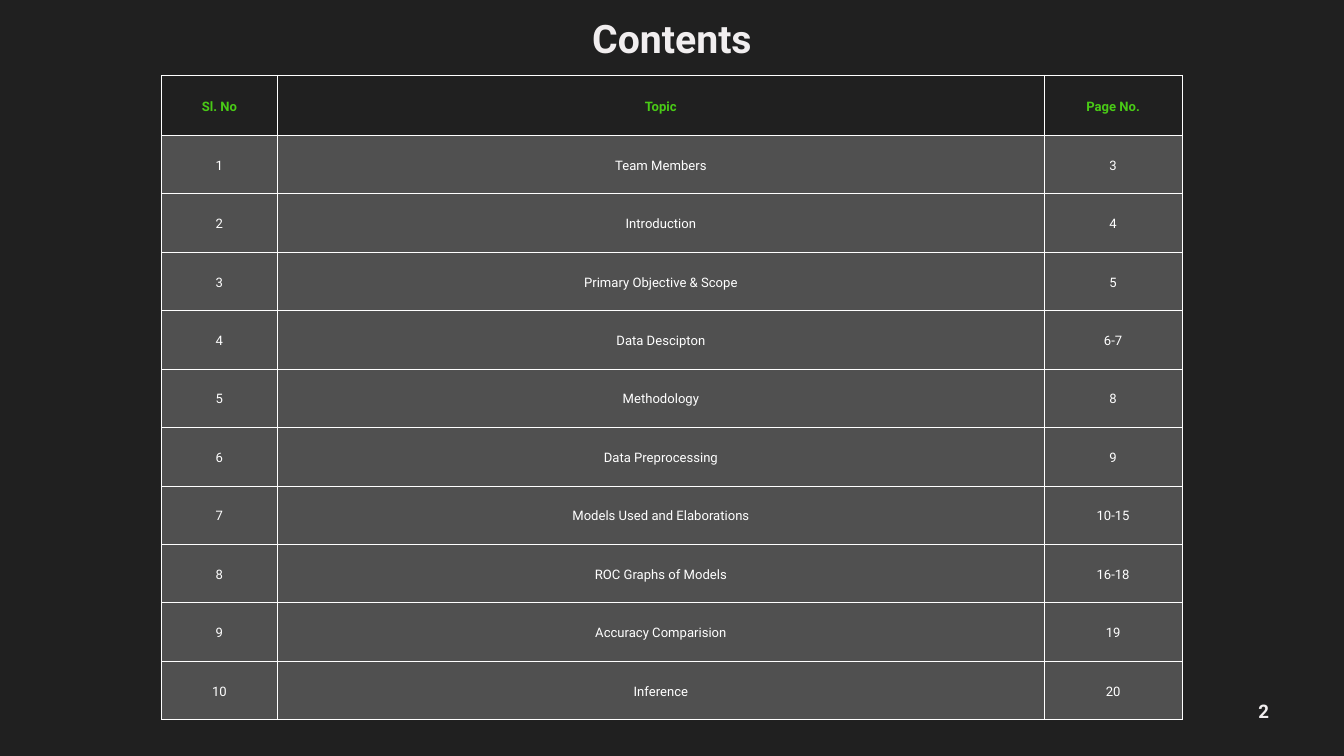
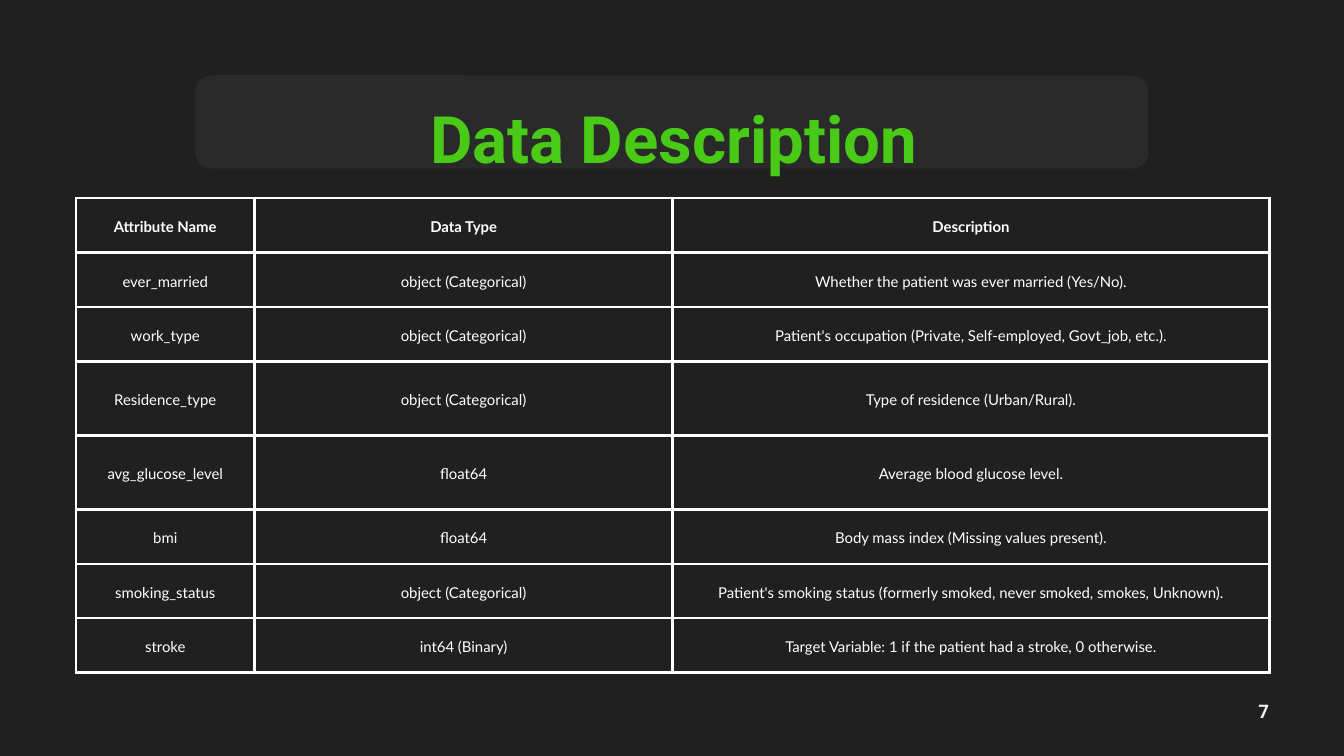
from lxml.etree import SubElement
from pptx import Presentation
from pptx.dml.color import RGBColor
from pptx.enum.shapes import MSO_SHAPE
from pptx.enum.text import MSO_ANCHOR, PP_ALIGN
from pptx.oxml import parse_xml
from pptx.oxml.ns import nsdecls, qn
from pptx.util import Inches, Pt

DARK = RGBColor(0x20, 0x20, 0x20)
PANEL = RGBColor(0x2C, 0x2C, 0x2C)
GREY = RGBColor(0x50, 0x50, 0x50)
GREEN = RGBColor(0x49, 0xCA, 0x16)
PALE = RGBColor(0xF1, 0xEE, 0xEF)
WHITE = RGBColor(0xFF, 0xFF, 0xFF)

LEADING = 1.4
TITLE_ONLY = 5

TOPICS = [
    ("Sl. No", "Topic", "Page No."),
    ("1", "Team Members", "3"),
    ("2", "Introduction", "4"),
    ("3", "Primary Objective & Scope", "5"),
    ("4", "Data Descipton", "6-7"),
    ("5", "Methodology", "8"),
    ("6", "Data Preprocessing", "9"),
    ("7", "Models Used and Elaborations", "10-15"),
    ("8", "ROC Graphs of Models", "16-18"),
    ("9", "Accuracy Comparision", "19"),
    ("10", "Inference", "20"),
]

FIELDS = [
    ("Attribute Name", "Data Type", "Description"),
    ("ever_married", "object (Categorical)",
     "Whether the patient was ever married (Yes/No)."),
    ("work_type", "object (Categorical)",
     "Patient's occupation (Private, Self-employed, Govt_job, etc.)."),
    ("Residence_type", "object (Categorical)",
     "Type of residence (Urban/Rural)."),
    ("avg_glucose_level", "float64", "Average blood glucose level."),
    ("bmi", "float64", "Body mass index (Missing values present)."),
    ("smoking_status", "object (Categorical)",
     "Patient's smoking status (formerly smoked, never smoked, smokes, Unknown)."),
    ("stroke", "int64 (Binary)",
     "Target Variable: 1 if the patient had a stroke, 0 otherwise."),
]


def write(frame, text, size, color, bold=True, font="Roboto", leading=LEADING):
    """Fill a text frame with one centred line."""
    frame.text = text
    line = frame.paragraphs[0]
    line.alignment = PP_ALIGN.CENTER
    line.line_spacing = Pt(round(size * leading, 1))
    line.font.name = font
    line.font.size = Pt(size)
    line.font.bold = bold
    line.font.color.rgb = color


def clear_insets(frame):
    frame.margin_left = frame.margin_right = 0
    frame.margin_top = frame.margin_bottom = 0
    frame.vertical_anchor = MSO_ANCHOR.TOP


def add_slide(deck):
    slide = deck.slides.add_slide(deck.slide_layouts[TITLE_ONLY])
    slide.background.fill.solid()
    slide.background.fill.fore_color.rgb = DARK
    return slide


def set_title(slide, box, text, size, color, leading=LEADING):
    """Place the title in front of what is already on the slide."""
    title = slide.shapes.title
    title.left, title.top, title.width, title.height = map(Inches, box)
    frame = title.text_frame
    clear_insets(frame)
    frame.word_wrap = True
    write(frame, text, size, color, leading=leading)
    title.element.getparent().append(title.element)


def add_number(slide, number):
    box = slide.shapes.add_textbox(
        Inches(18.72), Inches(10.36), Inches(0.17), Inches(0.23))
    clear_insets(box.text_frame)
    box.text_frame.word_wrap = False
    write(box.text_frame, str(number), 20, PALE)


def add_panel(slide, box):
    panel = slide.shapes.add_shape(
        MSO_SHAPE.ROUNDED_RECTANGLE, *map(Inches, box))
    panel.adjustments[0] = 0.18
    panel.shadow.inherit = False
    panel.line.fill.background()
    panel.fill.solid()
    panel.fill.fore_color.rgb = PANEL
    color = panel.element.spPr.find(qn("a:solidFill"))[0]
    SubElement(color, qn("a:alpha"), val="90000")


def add_borders(cell, width):
    props = cell._tc.get_or_add_tcPr()
    for place, side in enumerate("LRTB"):
        props.insert(place, parse_xml(
            f'<a:ln{side} {nsdecls("a")} w="{Pt(width)}"><a:solidFill>'
            f'<a:srgbClr val="{WHITE}"/></a:solidFill></a:ln{side}>'))


def add_grid(slide, spot, data, widths, heights, size, font, border,
             head=WHITE, fills=(None, None)):
    """Draw a table; fills holds the header fill and the body fill."""
    left, top = spot
    box = map(Inches, (left, top, sum(widths), sum(heights)))
    table = slide.shapes.add_table(len(data), len(widths), *box).table
    table.first_row = table.horz_banding = False
    for column, width in zip(table.columns, widths):
        column.width = Inches(width)
    for r, (row, height, words) in enumerate(zip(table.rows, heights, data)):
        row.height = Inches(height)
        is_head = r == 0
        fill = fills[0] if is_head else fills[1]
        for cell, text in zip(row.cells, words):
            cell.margin_left = cell.margin_right = Inches(0.21)
            cell.margin_top = cell.margin_bottom = Inches(0.21)
            cell.vertical_anchor = MSO_ANCHOR.MIDDLE
            write(cell.text_frame, text, size, head if is_head else WHITE,
                  is_head, font)
            if fill is None:
                cell.fill.background()
            else:
                cell.fill.solid()
                cell.fill.fore_color.rgb = fill
            add_borders(cell, border)


def add_contents(deck):
    slide = add_slide(deck)
    add_grid(slide, (2.4, 1.12), TOPICS, (1.73, 11.41, 2.05),
             [0.89] + [0.87] * 10, 14, "Roboto", 0.37, GREEN, (DARK, GREY))
    set_title(slide, (7.56, 0.1, 4.88, 0.86), "Contents", 42, PALE)
    add_number(slide, 2)


def add_fields(deck):
    slide = add_slide(deck)
    add_panel(slide, (2.9, 1.12, 14.19, 1.39))
    set_title(slide, (3.16, 0.68, 13.73, 1.71), "Data Description", 70, GREEN,
              leading=2)
    add_grid(slide, (1.13, 2.95), FIELDS, (2.66, 6.22, 8.88),
             [0.81] * 3 + [1.1] * 2 + [0.81] * 3, 16, "Lato", 3)
    add_number(slide, 7)


def main():
    deck = Presentation()
    deck.slide_width, deck.slide_height = Inches(20), Inches(11.25)
    add_contents(deck)
    add_fields(deck)
    deck.save("out.pptx")


if __name__ == "__main__":
    main()
